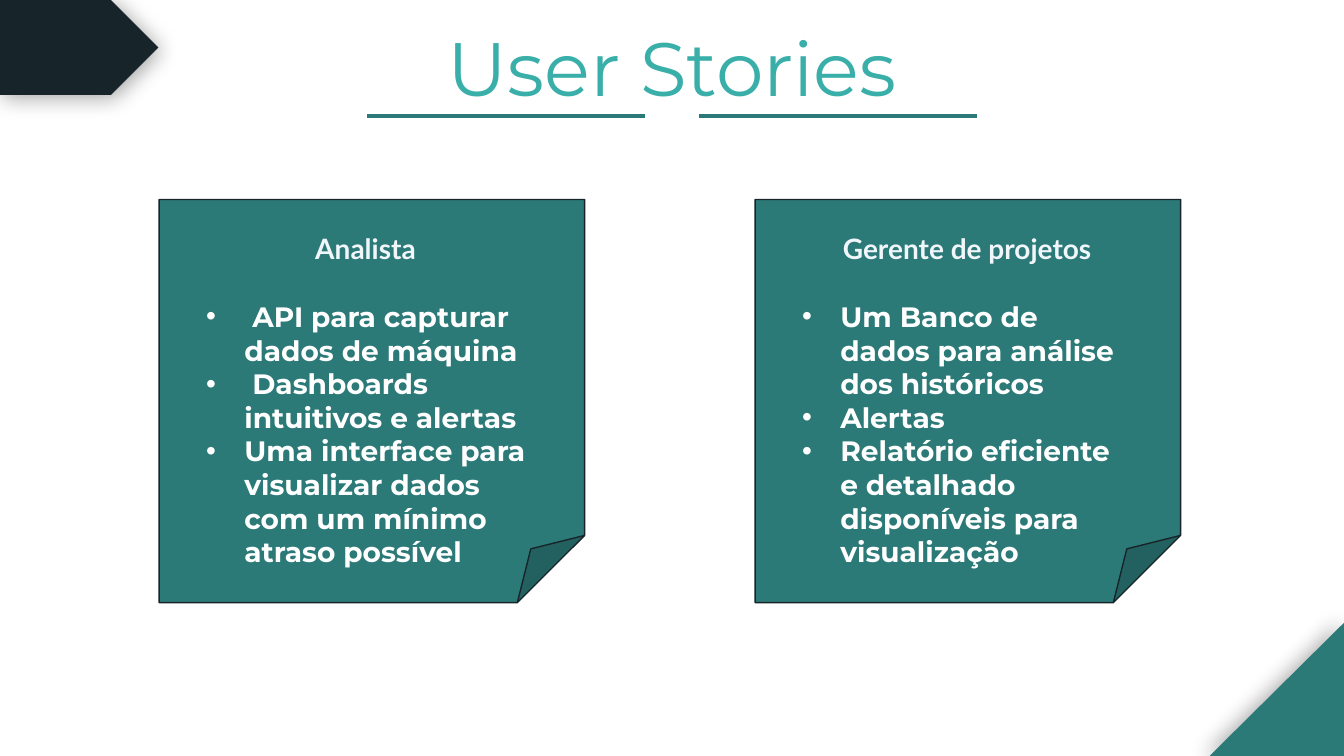
from dataclasses import dataclass

from lxml.etree import SubElement
from pptx import Presentation
from pptx.dml.color import RGBColor as Rgb
from pptx.enum.shapes import MSO_CONNECTOR as Link, MSO_SHAPE as Form
from pptx.enum.text import PP_ALIGN as Align
from pptx.oxml.ns import qn
from pptx.util import Inches, Pt

COLS, ROWS = 32, 18


@dataclass(frozen=True)
class Theme:
    teal: str = "2B7A78"
    aqua: str = "3AAFA9"
    dark: str = "17252A"
    pale: str = "F1F6FB"
    white: str = "FFFFFF"
    black: str = "000000"
    main: str = "Montserrat"
    label: str = "Lato"
    big: int = 54
    small: int = 20
    rule: int = 3
    edge: int = 1
    indent: float = 0.38


class Board:
    def __init__(self, deck, theme):
        self.theme = theme
        self.slide = deck.slides.add_slide(deck.slide_layouts[6])
        self.shapes = self.slide.shapes
        self.col = deck.slide_width / COLS
        self.row = deck.slide_height / ROWS

    def place(self, left, top, width, height):
        """Turn grid columns and rows into slide lengths."""
        return (round(left * self.col), round(top * self.row),
                round(width * self.col), round(height * self.row))

    def shape(self, form, box, fill, edge=None):
        item = self.shapes.add_shape(form, *self.place(*box))
        item.shadow.inherit = False
        item.fill.solid()
        item.fill.fore_color.rgb = Rgb.from_string(fill)
        if edge:
            item.line.color.rgb = Rgb.from_string(edge)
            item.line.width = Pt(self.theme.edge)
        else:
            item.line.fill.background()
        return item

    def shade(self, item, angle):
        """Give a shape a soft shadow cast at an angle in degrees."""
        effects = item._element.spPr.find(qn("a:effectLst"))
        cast = SubElement(effects, qn("a:outerShdw"), blurRad=str(Pt(16)),
                          dist=str(Pt(3)), dir=str(angle * 60000), rotWithShape="0")
        tint = SubElement(cast, qn("a:srgbClr"), val=self.theme.black)
        SubElement(tint, qn("a:alpha"), val="34000")

    def rule(self, left, right, top):
        start, y, width, _ = self.place(left, top, right - left, 0)
        line = self.shapes.add_connector(Link.STRAIGHT, start, y, start + width, y)
        line.line.color.rgb = Rgb.from_string(self.theme.teal)
        line.line.width = Pt(self.theme.rule)
        SubElement(line._element.spPr, qn("a:effectLst"))

    def text(self, box, lines, size, face, color, bold=False, align=Align.LEFT, dots=False):
        frame = self.shapes.add_textbox(*self.place(*box)).text_frame
        frame.word_wrap = True
        frame.text = "\n".join(lines)
        for para in frame.paragraphs:
            para.alignment = align
            if dots:
                self.dot(para)
            font = para.font
            font.size, font.name, font.bold = Pt(size), face, bold
            font.color.rgb = Rgb.from_string(color)

    def dot(self, para):
        props = para._p.get_or_add_pPr()
        indent = Inches(self.theme.indent)
        props.set("marL", str(indent))
        props.set("indent", str(-indent))
        SubElement(props, qn("a:buFont"), typeface="Arial")
        SubElement(props, qn("a:buChar"), char="•")

    def card(self, left, head, shift, width, lines):
        """Draw a folded note; shift moves its heading in from the left."""
        look = self.theme
        self.shape(Form.FOLDED_CORNER, (left, 4.75, 10.13, 9.6), look.teal, look.dark)
        self.text((left + shift, 5.4, width, 1.06), [head],
                  look.small, look.label, look.pale, bold=True)
        self.text((left + 0.88, 7.01, 8.32, 6.7), lines,
                  look.small, look.main, look.white, bold=True, dots=True)


def main():
    deck = Presentation()
    deck.slide_width, deck.slide_height = Inches(13.33), Inches(7.5)
    look = Theme()
    board = Board(deck, look)

    corner = board.shape(Form.RIGHT_TRIANGLE, (28.8, 14.83, 3.2, 3.17), look.teal)
    corner._element.spPr.xfrm.set("flipH", "1")
    board.shade(corner, 180)
    board.shade(board.shape(Form.PENTAGON, (0, 0, 3.77, 2.26), look.dark), 45)

    board.text((4.1, 0.38, 23.8, 2.42), ["User Stories"],
               look.big, look.main, look.aqua, align=Align.CENTER)
    for left in (8.74, 16.65):
        board.rule(left, left + 6.62, 2.76)

    board.card(3.79, "Analista", 3.48, 3.2, [
        " API para capturar dados de máquina",
        " Dashboards intuitivos e alertas",
        "Uma interface para visualizar dados com um mínimo atraso possível",
    ])
    board.card(17.98, "Gerente de projetos", 1.85, 7.15, [
        "Um Banco de dados para análise dos históricos",
        "Alertas",
        "Relatório eficiente e detalhado disponíveis para visualização",
    ])
    deck.save("out.pptx")


if __name__ == "__main__":
    main()
